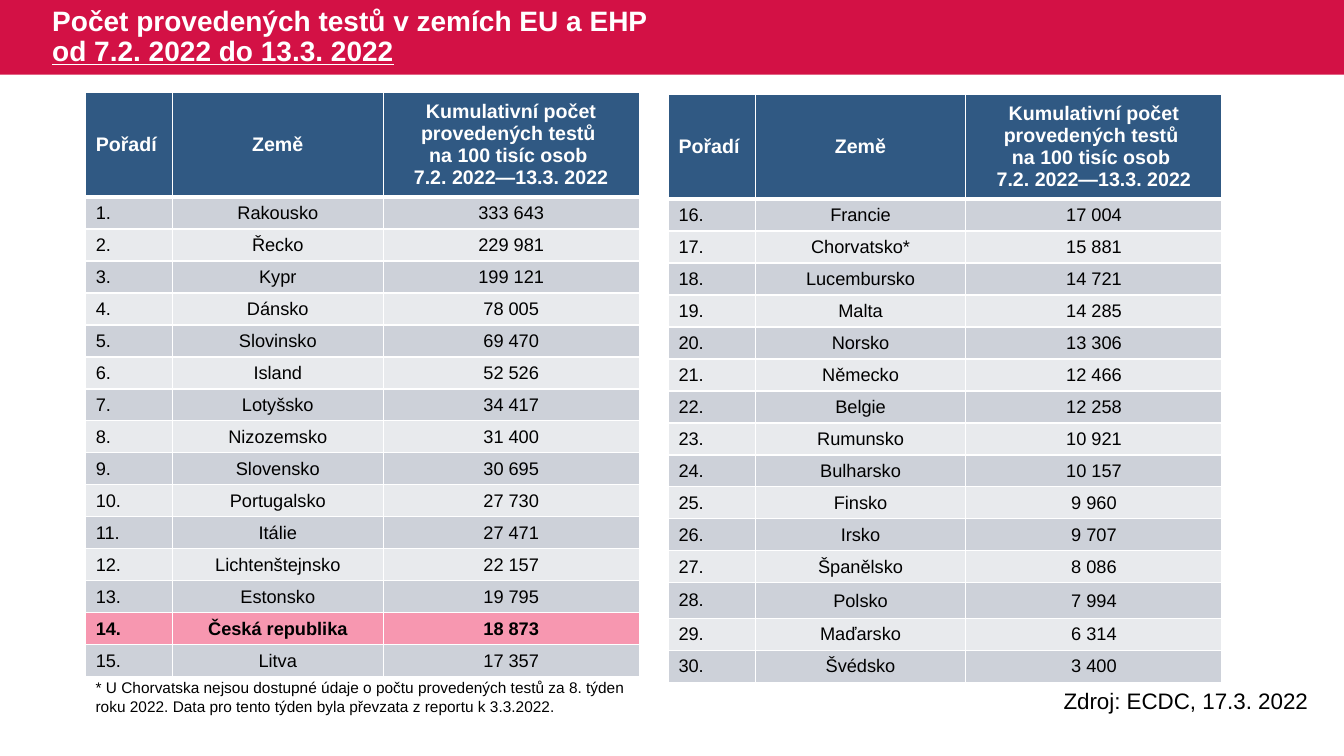
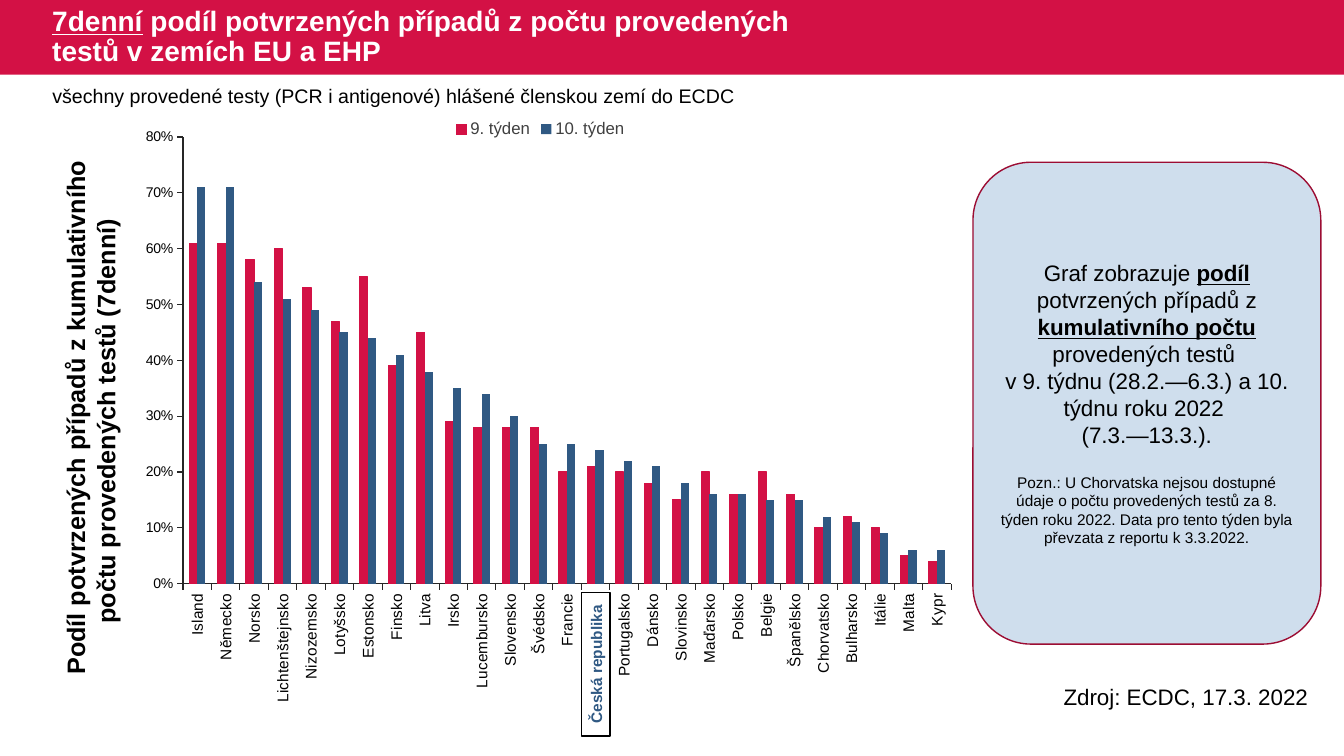
from lxml import etree
from pptx import Presentation
from pptx.chart.data import CategoryChartData
from pptx.dml.color import RGBColor
from pptx.enum import chart as charts, shapes, text
from pptx.oxml import ns
from pptx.util import Inches, Pt

CRIMSON = RGBColor(0xD3, 0x11, 0x45)
DARK_RED = RGBColor(0x9C, 0x0D, 0x33)
PINK = RGBColor(0xF7, 0x97, 0xB0)
NAVY = RGBColor(0x30, 0x59, 0x83)
PALE_BLUE = RGBColor(0xCF, 0xDE, 0xED)
GREY = RGBColor(0xCD, 0xD1, 0xD9)
PALE_GREY = RGBColor(0xE8, 0xEA, 0xED)
AXIS_GREY = RGBColor(0x26, 0x26, 0x26)
LEGEND_GREY = RGBColor(0x40, 0x40, 0x40)
BLACK = RGBColor(0, 0, 0)
WHITE = RGBColor(0xFF, 0xFF, 0xFF)

FONT = "Arial"
CENTER = text.PP_ALIGN.CENTER
HOME = "Česká republika"
SLIDE_W, SLIDE_H, BAND_H = 13.33, 7.5, 0.74
CROATIA = ("U Chorvatska nejsou dostupné údaje o počtu provedených testů za 8. týden "
           "roku 2022. Data pro tento týden byla převzata z reportu k 3.3.2022.")

TESTS = [
    ("Rakousko", "333 643"), ("Řecko", "229 981"), ("Kypr", "199 121"),
    ("Dánsko", "78 005"), ("Slovinsko", "69 470"), ("Island", "52 526"),
    ("Lotyšsko", "34 417"), ("Nizozemsko", "31 400"), ("Slovensko", "30 695"),
    ("Portugalsko", "27 730"), ("Itálie", "27 471"), ("Lichtenštejnsko", "22 157"),
    ("Estonsko", "19 795"), (HOME, "18 873"), ("Litva", "17 357"),
    ("Francie", "17 004"), ("Chorvatsko*", "15 881"), ("Lucembursko", "14 721"),
    ("Malta", "14 285"), ("Norsko", "13 306"), ("Německo", "12 466"),
    ("Belgie", "12 258"), ("Rumunsko", "10 921"), ("Bulharsko", "10 157"),
    ("Finsko", "9 960"), ("Irsko", "9 707"), ("Španělsko", "8 086"),
    ("Polsko", "7 994"), ("Maďarsko", "6 314"), ("Švédsko", "3 400"),
]

# Country, share in week 9, share in week 10
SHARES = [
    ("Island", 0.61, 0.71), ("Německo", 0.61, 0.71), ("Norsko", 0.58, 0.54),
    ("Lichtenštejnsko", 0.6, 0.51), ("Nizozemsko", 0.53, 0.49), ("Lotyšsko", 0.47, 0.45),
    ("Estonsko", 0.55, 0.44), ("Finsko", 0.39, 0.41), ("Litva", 0.45, 0.38),
    ("Irsko", 0.29, 0.35), ("Lucembursko", 0.28, 0.34), ("Slovensko", 0.28, 0.3),
    ("Švédsko", 0.28, 0.25), ("Francie", 0.2, 0.25), (HOME, 0.21, 0.24),
    ("Portugalsko", 0.2, 0.22), ("Dánsko", 0.18, 0.21), ("Slovinsko", 0.15, 0.18),
    ("Maďarsko", 0.2, 0.16), ("Polsko", 0.16, 0.16), ("Belgie", 0.2, 0.15),
    ("Španělsko", 0.16, 0.15), ("Chorvatsko", 0.1, 0.12), ("Bulharsko", 0.12, 0.11),
    ("Itálie", 0.1, 0.09), ("Malta", 0.05, 0.06), ("Kypr", 0.04, 0.06),
]


def style_font(font, size, color=BLACK, bold=False, underline=False):
    font.name, font.size, font.bold = FONT, Pt(size), bold
    font.color.rgb = color
    if underline:
        font.underline = True


def add_span(para, words, **style):
    span = para.add_run()
    span.text = words
    style_font(span.font, **style)


def write(frame, words, align=None, new=False, before=0, marked=(), mark=None, **style):
    """Write one paragraph; the phrases in marked also get the format in mark."""
    para = frame.add_paragraph() if new else frame.paragraphs[0]
    para.alignment = align
    if before:
        para.space_before = Pt(before)
    for number, line in enumerate(words.split("\n")):
        if number:
            para.add_line_break()
        for phrase in marked:
            head, found, tail = line.partition(phrase)
            if not found:
                continue
            if head:
                add_span(para, head, **style)
            add_span(para, phrase, **{**style, **mark})
            line = tail
        if line:
            add_span(para, line, **style)
    return para


def add_label(page, box, words, rotation=0, anchor=text.MSO_ANCHOR.TOP, **style):
    label = page.shapes.add_textbox(*map(Inches, box))
    label.rotation = rotation
    label.text_frame.word_wrap = True
    label.text_frame.vertical_anchor = anchor
    return write(label.text_frame, words, **style)


def add_panel(page, box, kind, fill, line=None):
    panel = page.shapes.add_shape(kind, *map(Inches, box))
    panel.shadow.inherit = False
    panel.fill.solid()
    panel.fill.fore_color.rgb = fill
    if line is None:
        panel.line.fill.background()
    else:
        panel.line.color.rgb = line
        panel.line.width = Pt(1)
    panel.text_frame.word_wrap = True
    panel.text_frame.vertical_anchor = text.MSO_ANCHOR.MIDDLE
    return panel


def add_page(deck, title, underlined, source_top):
    """Blank page with the title band and the source line."""
    page = deck.slides.add_slide(deck.slide_layouts[6])
    add_panel(page, (0, 0, SLIDE_W, BAND_H), shapes.MSO_SHAPE.RECTANGLE, CRIMSON)
    para = add_label(page, (0.42, 0, 8.16, BAND_H), title, anchor=text.MSO_ANCHOR.MIDDLE,
                     marked=[underlined], mark={"underline": True},
                     size=20, color=WHITE, bold=True)
    para.line_spacing = 0.9
    add_label(page, (10.45, source_top, 2.8, 0.37), "Zdroj: ECDC, 17.3. 2022", size=16)
    return page


def format_cell(cell, fill, bottom=1):
    cell.vertical_anchor = text.MSO_ANCHOR.MIDDLE
    props = cell._tc.get_or_add_tcPr()
    for side, width in (("L", 1), ("R", 1), ("T", 1), ("B", bottom)):
        edge = etree.SubElement(props, ns.qn(f"a:ln{side}"), w=str(Pt(width)))
        paint = etree.SubElement(edge, ns.qn("a:solidFill"))
        etree.SubElement(paint, ns.qn("a:srgbClr"), val=str(WHITE))
    cell.fill.solid()
    cell.fill.fore_color.rgb = fill


def add_ranking(page, left, top, first, rows, tall=None):
    """Table of ranked countries, numbered from first."""
    widths = (0.86, 2.09, 2.54)
    heights = [0.97] + [0.35 if name == tall else 0.3 for name, _ in rows]
    box = (left, top, sum(widths), sum(heights))
    table = page.shapes.add_table(len(heights), len(widths), *map(Inches, box)).table
    for column, width in zip(table.columns, widths):
        column.width = Inches(width)
    for row, height in zip(table.rows, heights):
        row.height = Inches(height)

    # Heading row
    headings = (["Pořadí"], ["Země"],
                ["Kumulativní počet provedených testů ", "na 100 tisíc osob ",
                 "7.2. 2022—13.3. 2022"])
    for index, lines in enumerate(headings):
        cell = table.cell(0, index)
        format_cell(cell, NAVY, bottom=3)
        for number, line in enumerate(lines):
            write(cell.text_frame, line, align=CENTER if index else None, new=number > 0,
                  size=14, color=WHITE, bold=True)

    # Country rows
    for number, (name, count) in enumerate(rows):
        fill = PINK if name == HOME else (GREY, PALE_GREY)[number % 2]
        for index, words in enumerate((f"{first + number}.", name, count)):
            cell = table.cell(number + 1, index)
            if index:
                cell.margin_left = cell.margin_right = cell.margin_top = Inches(0.01)
                cell.margin_bottom = 0
            format_cell(cell, fill)
            write(cell.text_frame, words, align=CENTER if index else None,
                  size=13, bold=name == HOME)


def set_plot_area(chart, x, y, w, h):
    area = chart._chartSpace.chart.plotArea
    for old in area.findall(ns.qn("c:layout")):
        area.remove(old)
    layout = etree.Element(ns.qn("c:layout"))
    manual = etree.SubElement(layout, ns.qn("c:manualLayout"))
    for tag, value in (("layoutTarget", "inner"), ("xMode", "edge"), ("yMode", "edge"),
                       ("x", x), ("y", y), ("w", w), ("h", h)):
        etree.SubElement(manual, ns.qn(f"c:{tag}"), val=str(value))
    area.insert(0, layout)


def add_share_chart(page, box):
    names, week_9, week_10 = zip(*SHARES)
    data = CategoryChartData(number_format="0%")
    data.categories = names
    data.add_series("9. týden", week_9)
    data.add_series("10. týden", week_10)
    chart = page.shapes.add_chart(charts.XL_CHART_TYPE.COLUMN_CLUSTERED,
                                  *map(Inches, box), data).chart
    style_font(chart.font, 10, LEGEND_GREY)
    chart.has_title = False
    chart.has_legend = True
    chart.legend.position = charts.XL_LEGEND_POSITION.TOP
    chart.legend.include_in_layout = False
    style_font(chart.legend.font, 12, LEGEND_GREY)

    # Columns
    plot = chart.plots[0]
    plot.gap_width, plot.overlap, plot.vary_by_categories = 150, 0, False
    for series, color in zip(plot.series, (CRIMSON, NAVY)):
        series.format.fill.solid()
        series.format.fill.fore_color.rgb = color
    outline = plot.series[0].format.line
    outline.color.rgb, outline.width = CRIMSON, Pt(0.75)

    # Axes
    for axis, size in ((chart.category_axis, 11), (chart.value_axis, 10)):
        axis.has_major_gridlines = False
        axis.major_tick_mark = charts.XL_TICK_MARK.OUTSIDE
        axis.format.line.color.rgb = AXIS_GREY
        axis.format.line.width = Pt(0.75)
        style_font(axis.tick_labels.font, size)
    shares = chart.value_axis
    shares.minimum_scale, shares.maximum_scale, shares.major_unit = 0, 0.8, 0.1
    shares.tick_labels.number_format = "0%"
    shares.tick_labels.number_format_is_linked = False
    body = chart.category_axis._element.find(".//" + ns.qn("a:bodyPr"))
    body.set("rot", "-5400000")
    body.set("vert", "horz")
    set_plot_area(chart, 0.078, 0.047, 0.907, 0.745)


def add_explanation(page, box):
    panel = add_panel(page, box, shapes.MSO_SHAPE.ROUNDED_RECTANGLE, PALE_BLUE, DARK_RED)
    lines = ("Graf zobrazuje podíl potvrzených případů z kumulativního počtu provedených testů ",
             "v 9. týdnu (28.2.—6.3.) a 10. týdnu roku 2022 ",
             "(7.3.—13.3.).")
    for number, line in enumerate(lines):
        write(panel.text_frame, line, align=CENTER, new=number > 0, size=16,
              marked=["podíl", "kumulativního počtu"],
              mark={"bold": True, "underline": True})
    write(panel.text_frame, "Pozn.: " + CROATIA, align=CENTER, new=True, before=18, size=11)


def build_tests_page(deck):
    period = "od 7.2. 2022 do 13.3. 2022"
    page = add_page(deck, "Počet provedených testů v zemích EU a EHP \n" + period, period, 6.77)
    add_ranking(page, 0.85, 0.92, 1, TESTS[:15])
    add_ranking(page, 6.63, 0.94, 16, TESTS[15:], tall="Polsko")
    add_label(page, (0.85, 6.68, 5.48, 0.47), "* " + CROATIA, size=11)


def build_share_page(deck):
    page = add_page(deck, "7denní podíl potvrzených případů z počtu provedených testů "
                    "v zemích EU a EHP", "7denní", 6.73)
    add_label(page, (0.42, 0.78, 12.59, 0.34),
              "všechny provedené testy (PCR i antigenové) hlášené členskou zemí do ECDC", size=14)
    add_label(page, (-1.81, 3.79, 5.42, 0.71),
              "Podíl potvrzených případů z kumulativního počtu provedených testů (7denní) ",
              rotation=270, align=CENTER, size=18, bold=True)
    add_share_chart(page, (1.16, 1.08, 8.4, 5.95))
    add_explanation(page, (9.65, 1.61, 3.45, 4.78))

    # Highlighted axis label
    home = add_panel(page, (5.2, 6.45, 1.42, 0.28), shapes.MSO_SHAPE.RECTANGLE, WHITE, BLACK)
    home.rotation = 270
    write(home.text_frame, HOME, align=CENTER, size=11, color=NAVY, bold=True)


def main():
    deck = Presentation()
    deck.slide_width, deck.slide_height = Inches(SLIDE_W), Inches(SLIDE_H)
    build_tests_page(deck)
    build_share_page(deck)
    deck.save("out.pptx")


if __name__ == "__main__":
    main()
